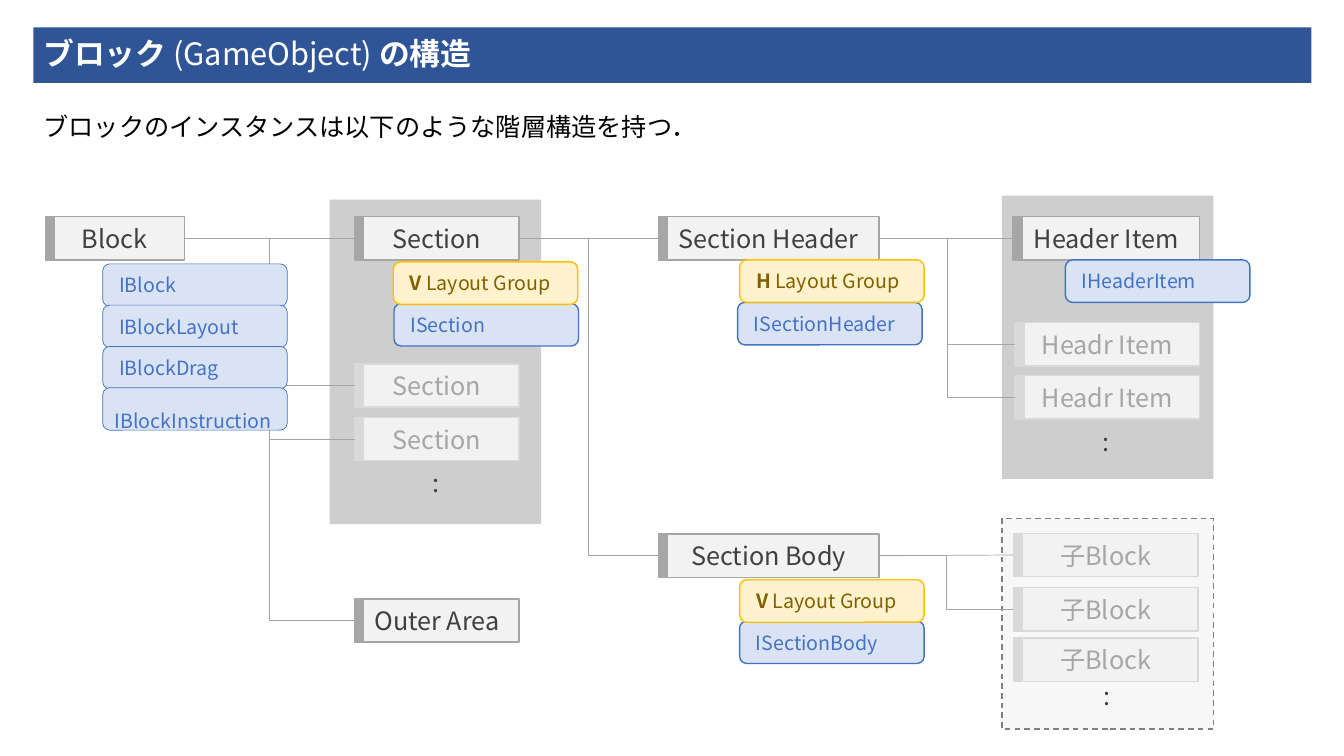
"""Builds the slide on the object hierarchy of a block."""
from dataclasses import dataclass

from lxml.etree import SubElement
from pptx import Presentation
from pptx.dml.color import RGBColor as Rgb
from pptx.enum.dml import MSO_LINE as Dash
from pptx.enum.shapes import MSO_CONNECTOR as Link, MSO_SHAPE as Preset
from pptx.enum.text import MSO_ANCHOR as Anchor, MSO_AUTO_SIZE as Fit, PP_ALIGN as Align
from pptx.oxml.ns import qn
from pptx.util import Cm, Pt


@dataclass(frozen=True)
class Theme:
    """Font, type sizes and colours of the slide."""
    font: str = "Noto Sans CJK JP"
    title_size: int = 22
    text_size: int = 18
    chip_size: int = 14
    banner: str = "2F5597"
    white: str = "FFFFFF"
    black: str = "000000"
    ink: str = "404040"
    faded_ink: str = "A6A6A6"
    node_fill: str = "F2F2F2"
    edge: str = "A6A6A6"
    faded_edge: str = "D9D9D9"
    link: str = "A5A5A5"
    panel: str = "0D0D0D"
    child_panel: str = "D9D9D9"
    child_edge: str = "808080"
    interface: tuple = ("DAE3F3", "4472C4", "4472C4")
    layout: tuple = ("FFF2CC", "FFC000", "806000")


class HierarchySlide:
    """Draws the parts of the hierarchy on one slide."""

    def __init__(self, deck, theme):
        """Adds the slide to the deck."""
        self.theme = theme
        self.slide = deck.slides.add_slide(deck.slide_layouts[1])

    def set_text(self, holder, runs, size, color, align=Align.LEFT, anchor=Anchor.MIDDLE):
        """Sets (text, bold) runs as one paragraph."""
        frame = holder.text_frame
        frame.word_wrap = True
        frame.auto_size = Fit.NONE
        frame.vertical_anchor = anchor
        paragraph = frame.paragraphs[0]
        paragraph.alignment = align
        paragraph.space_before = Pt(0)
        font = paragraph.font
        font.size, font.name = Pt(size), self.theme.font
        font.color.rgb = Rgb.from_string(color)
        defaults = paragraph._p.pPr.find(qn("a:defRPr"))
        SubElement(defaults, qn("a:ea"), typeface=self.theme.font)
        for text, bold in runs:
            run = paragraph.add_run()
            run.text = text
            if bold is not None:
                run.font.bold = bold
        return paragraph

    def place(self, holder, left, top, width, height):
        """Moves a placeholder."""
        holder.left, holder.top = Cm(left), Cm(top)
        holder.width, holder.height = Cm(width), Cm(height)

    def title(self, runs):
        """Fills the title banner."""
        banner = self.slide.shapes.title
        self.place(banner, 0.84, 0.69, 32.21, 1.4)
        banner.fill.solid()
        banner.fill.fore_color.rgb = Rgb.from_string(self.theme.banner)
        self.set_text(banner, runs, self.theme.title_size, self.theme.white).line_spacing = 0.9

    def lead(self, sentence):
        """Fills the body placeholder with an unbulleted sentence."""
        body = self.slide.placeholders[1]
        self.place(body, 0.84, 2.67, 31.52, 1.02)
        paragraph = self.set_text(body, [(sentence, None)], self.theme.text_size,
                                  self.theme.black, anchor=Anchor.TOP)
        props = paragraph._p.pPr
        props.set("marL", "0")
        props.set("indent", "0")
        props.insert(props.index(props.find(qn("a:defRPr"))),
                     props.makeelement(qn("a:buNone"), {}))

    def box(self, preset, left, top, width, height, fill, edge=None, weight=1.0):
        """Adds a flat filled shape."""
        shape = self.slide.shapes.add_shape(preset, Cm(left), Cm(top), Cm(width), Cm(height))
        shape.shadow.inherit = False
        shape.fill.solid()
        shape.fill.fore_color.rgb = Rgb.from_string(fill)
        if edge:
            shape.line.color.rgb = Rgb.from_string(edge)
            shape.line.width = Pt(weight)
        else:
            shape.line.fill.background()
        return shape

    def panel(self, top, height, left, fill, edge=None):
        """Adds a translucent panel, dashed when it has an edge."""
        panel = self.box(Preset.RECTANGLE, left, top, 5.33, height, fill, edge)
        color = panel._element.spPr.find(qn("a:solidFill"))[0]
        SubElement(color, qn("a:alpha"), val="20000")
        if edge:
            panel.line.dash_style = Dash.DASH

    def node(self, label, left, top, width, faded=False):
        """Adds an object box with a bar on its left."""
        theme = self.theme
        edge = theme.faded_edge if faded else theme.edge
        node = self.box(Preset.RECTANGLE, left, top, width, 1.09, theme.node_fill, edge)
        self.set_text(node, [(label, None)], theme.text_size,
                      theme.faded_ink if faded else theme.ink, Align.CENTER)
        self.box(Preset.RECTANGLE, left, top, 0.23, 1.07, edge, edge)
        return node

    def chip(self, runs, left, top, colors, weight=1.0):
        """Adds a rounded component label."""
        fill, edge, ink = colors
        chip = self.box(Preset.ROUNDED_RECTANGLE, left, top, 4.65, 1.07, fill, edge, weight)
        self.set_text(chip, runs, self.theme.chip_size, ink)

    def interface(self, name, left, top, weight=1.0):
        """Adds the label of an interface."""
        self.chip([(f" {name}", None)], left, top, self.theme.interface, weight)

    def layout_group(self, direction, left, top):
        """Adds the label of a layout group."""
        self.chip([(" ", None), (direction, True), (" Layout Group", False)],
                  left, top, self.theme.layout)

    def more(self, left, top, width):
        """Adds the sign that a list goes on."""
        sign = self.slide.shapes.add_textbox(Cm(left), Cm(top), Cm(width), Cm(1.09))
        self.set_text(sign, [(":", None)], self.theme.text_size, self.theme.ink, Align.CENTER)

    def link(self, parent, child):
        """Joins a parent to its child, straight when they are level."""
        level = abs(parent.top - child.top) < Cm(0.1)
        line = self.slide.shapes.add_connector(Link.STRAIGHT if level else Link.ELBOW, 0, 0, 0, 0)
        line.begin_connect(parent, 3)
        line.end_connect(child, 1)
        line.line.color.rgb = Rgb.from_string(self.theme.link)
        line.line.width = Pt(0.5)
        SubElement(line._element.spPr, qn("a:effectLst"))


def main():
    """Builds and saves the deck."""
    deck = Presentation()
    deck.slide_width, deck.slide_height = Cm(33.87), Cm(19.05)
    theme = Theme()
    page = HierarchySlide(deck, theme)
    page.title([("ブロック ", True), ("(GameObject) ", False), ("の構造", True)])
    page.lead("ブロックのインスタンスは以下のような階層構造を持つ．")

    page.panel(13.06, 5.31, 25.25, theme.child_panel, theme.child_edge)
    page.panel(4.93, 7.14, 25.25, theme.panel)
    page.panel(5.03, 8.18, 8.31, theme.panel)

    block = page.node("Block", 1.14, 5.46, 3.51)
    section = page.node("Section", 8.94, 5.46, 4.14)
    more_sections = [page.node("Section", 8.94, top, 4.14, True) for top in (9.17, 10.52)]
    outer_area = page.node("Outer Area", 8.94, 15.09, 4.14)
    header = page.node("Section Header", 16.59, 5.46, 5.56)
    body = page.node("Section Body", 16.59, 13.46, 5.56)
    header_item = page.node("Header Item", 25.53, 5.46, 4.7)
    more_items = [page.node("Headr Item", 25.58, top, 4.65, True) for top in (8.13, 9.47)]
    child_blocks = [page.node("子Block", 25.54, top, 4.65, True) for top in (13.44, 14.81, 16.08)]

    families = ((block, [section, *more_sections, outer_area]), (section, [header, body]),
                (header, [header_item, *more_items]), (body, child_blocks[:2]))
    for parent, children in families:
        for child in children:
            page.link(parent, child)

    for row, name in enumerate(("IBlock", "IBlockLayout", "IBlockDrag", "IBlockInstruction")):
        page.interface(name, 2.59, 6.65 + 1.04 * row, 0.5)
    for name, left, top in (("ISection", 9.93, 7.65), ("ISectionHeader", 18.59, 7.62),
                            ("ISectionBody", 18.64, 15.65), ("IHeaderItem", 26.85, 6.55)):
        page.interface(name, left, top)
    for direction, left, top in (("V", 9.91, 6.6), ("H", 18.64, 6.55), ("V", 18.64, 14.61)):
        page.layout_group(direction, left, top)
    for left, top, width in ((8.92, 11.61, 4.14), (25.55, 10.57, 4.65), (25.58, 16.97, 4.65)):
        page.more(left, top, width)

    deck.save("out.pptx")


if __name__ == "__main__":
    main()
